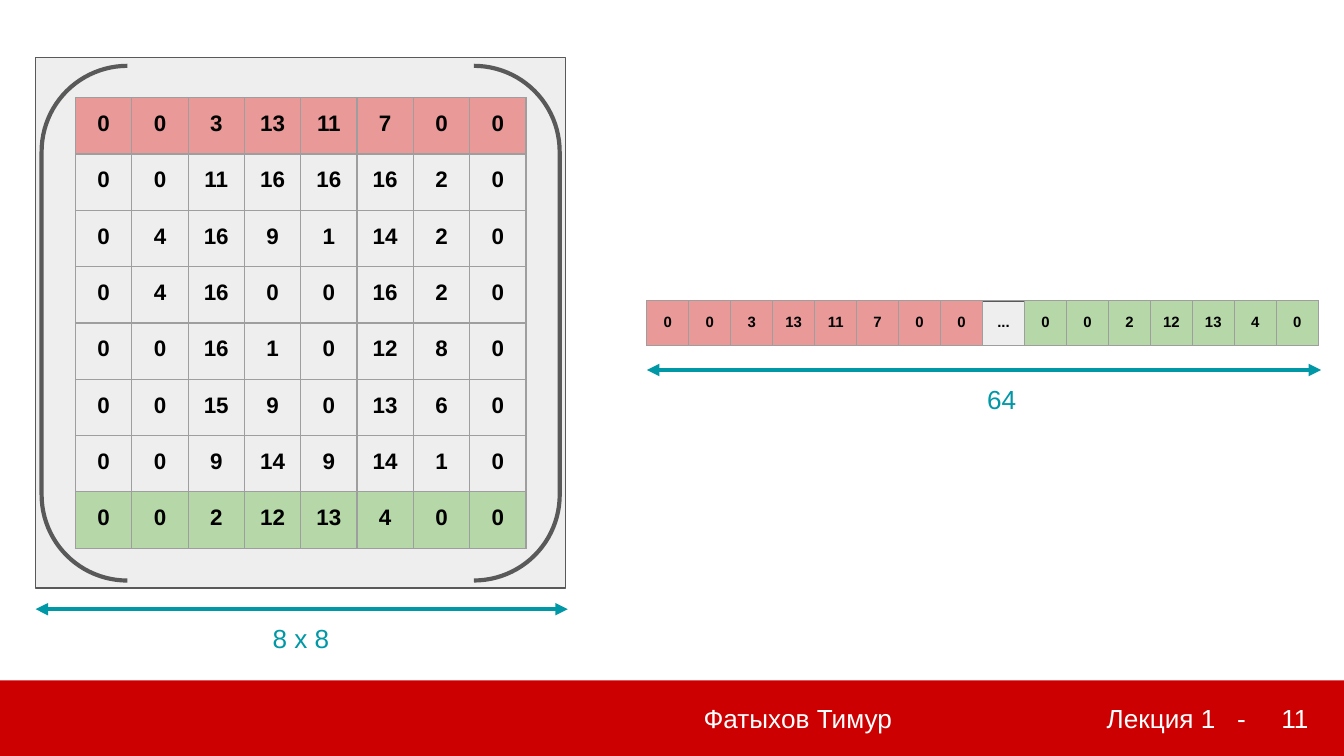
from dataclasses import dataclass
from lxml.etree import SubElement as Sub
from pptx import Presentation
from pptx.dml.color import RGBColor as Color
from pptx.enum.shapes import MSO_CONNECTOR as Link, MSO_SHAPE as Kind
from pptx.enum.text import MSO_ANCHOR as Anchor, PP_ALIGN as Align
from pptx.oxml import parse_xml as parsed
from pptx.oxml.ns import nsdecls, qn
from pptx.util import Inches, Pt

MATRIX = [
    [0, 0, 3, 13, 11, 7, 0, 0],
    [0, 0, 11, 16, 16, 16, 2, 0],
    [0, 4, 16, 9, 1, 14, 2, 0],
    [0, 4, 16, 0, 0, 16, 2, 0],
    [0, 0, 16, 1, 0, 12, 8, 0],
    [0, 0, 15, 9, 0, 13, 6, 0],
    [0, 0, 9, 14, 9, 14, 1, 0],
    [0, 0, 2, 12, 13, 4, 0, 0],
]
FIRST, LAST = MATRIX[0], MATRIX[-1]
VECTOR = [FIRST + ["..."] + LAST[:-1]]
FOOTER = "Фатыхов Тимур\tЛекция 1\t-"
PAGE = "11"
SIZES = {"matrix": "8 x 8", "vector": "64"}


@dataclass
class Theme:
    font: str = "Arial"
    bar: str = "CC0000"
    white: str = "FFFFFF"
    black: str = "000000"
    panel: str = "EEEEEE"
    edge: str = "595959"
    grid: str = "9E9E9E"
    teal: str = "0097A7"
    top: str = "EA9999"
    end: str = "B6D7A8"
    body: int = 14
    cell: int = 12
    small: int = 8
    thin: float = 0.75
    thick: float = 2.25


LOOK = Theme()
WIDE, HIGH = 100, 56.25
UNIT = Inches(10) / WIDE


def span(*cols):
    return [round(col * UNIT) for col in cols]


def rgb(code):
    return Color.from_string(code)


def write(frame, text, size, color, align, bold=False):
    frame.text = text
    para = frame.paragraphs[0]
    para.alignment = align
    for run in para.runs:
        run.font.name = LOOK.font
        run.font.size = Pt(size)
        run.font.bold = bold
        run.font.color.rgb = rgb(color)


def pad(box, left, top, right, bottom):
    (box.margin_left, box.margin_top,
     box.margin_right, box.margin_bottom) = span(left, top, right, bottom)


def shape(slide, kind, area, fill=None, line=None, width=LOOK.thin):
    item = slide.shapes.add_shape(kind, *span(*area))
    item.shadow.inherit = False
    if fill:
        item.fill.solid()
        item.fill.fore_color.rgb = rgb(fill)
    else:
        item.fill.background()
    if line:
        item.line.color.rgb = rgb(line)
        item.line.width = Pt(width)
    else:
        item.line.fill.background()
    return item


def label(slide, text, area, color, align):
    frame = slide.shapes.add_textbox(*span(*area)).text_frame
    frame.word_wrap = True
    pad(frame, 1, 1, 1, 1)
    write(frame, text, LOOK.body, color, align)
    return frame


def border(cell):
    props = cell._tc.get_or_add_tcPr()
    for spot, side in enumerate("LRTB"):
        props.insert(spot, parsed(
            f'<a:ln{side} {nsdecls("a")} w="{Pt(LOOK.thin)}"><a:solidFill>'
            f'<a:srgbClr val="{LOOK.grid}"/></a:solidFill></a:ln{side}>'))


def table(slide, data, area, size, paint):
    rows, cols = len(data), len(data[0])
    left, top, width, height = span(*area)
    grid = slide.shapes.add_table(rows, cols, left, top, width, height).table
    grid.first_row = grid.horz_banding = False
    for col in grid.columns:
        col.width = width // cols
    for row in grid.rows:
        row.height = height // rows
    for y, line in enumerate(data):
        for x, value in enumerate(line):
            cell = grid.cell(y, x)
            pad(cell, 0, 1, 0, 0)
            write(cell.text_frame, str(value), size, LOOK.black,
                  Align.CENTER, True)
            fill = paint(y, x)
            if fill:
                cell.fill.solid()
                cell.fill.fore_color.rgb = rgb(fill)
            else:
                cell.fill.background()
            border(cell)


def arrow(slide, start, stop, y):
    item = slide.shapes.add_connector(Link.STRAIGHT, *span(start, y, stop, y))
    item.line.color.rgb = rgb(LOOK.teal)
    item.line.width = Pt(LOOK.thick)
    line = item.line._get_or_add_ln()
    for end in ("headEnd", "tailEnd"):
        Sub(line, qn("a:" + end), type="triangle")
    Sub(item._element.spPr, qn("a:effectLst"))


def footer(slide):
    top, tall = 50.63, HIGH - 50.63
    bar = shape(slide, Kind.RECTANGLE, (0, top, WIDE, tall), LOOK.bar)
    frame = bar.text_frame
    frame.vertical_anchor = Anchor.MIDDLE
    pad(frame, 52.35, 1, 1, 1)
    write(frame, FOOTER, LOOK.body, LOOK.white, Align.LEFT)
    tabs = Sub(frame.paragraphs[0]._p.get_or_add_pPr(), qn("a:tabLst"))
    for stop in span(30, 39.7):
        Sub(tabs, qn("a:tab"), pos=str(stop), algn="l")
    page = label(slide, PAGE, (94.35, top, 5.65, tall), LOOK.white, Align.LEFT)
    page.vertical_anchor = Anchor.MIDDLE


def matrix(slide):
    shape(slide, Kind.RECTANGLE, (2.65, 4.3, 39.45, 39.45),
          LOOK.panel, LOOK.edge)
    shape(slide, Kind.DOUBLE_BRACKET, (3.1, 4.9, 38.55, 38.3),
          None, LOOK.edge, LOOK.thick)
    label(slide, SIZES["matrix"], (12.1, 45.3, 20.6, 4),
          LOOK.teal, Align.CENTER)
    tints = {0: LOOK.top, len(MATRIX) - 1: LOOK.end}
    side = 4.19 * len(MATRIX)
    table(slide, MATRIX, (5.62, 7.27, side, side), LOOK.cell,
          lambda y, x: tints.get(y))
    arrow(slide, 2.65, 42.25, 45.33)


def vector(slide):
    shape(slide, Kind.RECTANGLE, (54.3, 22.4, 43.75, 3.3),
          LOOK.panel, LOOK.edge)
    split = len(FIRST)
    table(slide, VECTOR, (48.13, 22.38, 50, 3.3), LOOK.small,
          lambda y, x: LOOK.top if x < split
          else LOOK.end if x > split else None)
    arrow(slide, 48.13, 98.3, 27.53)
    label(slide, SIZES["vector"], (64.23, 27.53, 20.6, 4),
          LOOK.teal, Align.CENTER)


def main():
    deck = Presentation()
    deck.slide_width, deck.slide_height = span(WIDE, HIGH)
    slide = deck.slides.add_slide(deck.slide_layouts[6])
    for part in (footer, matrix, vector):
        part(slide)
    deck.save("out.pptx")


if __name__ == "__main__":
    main()
